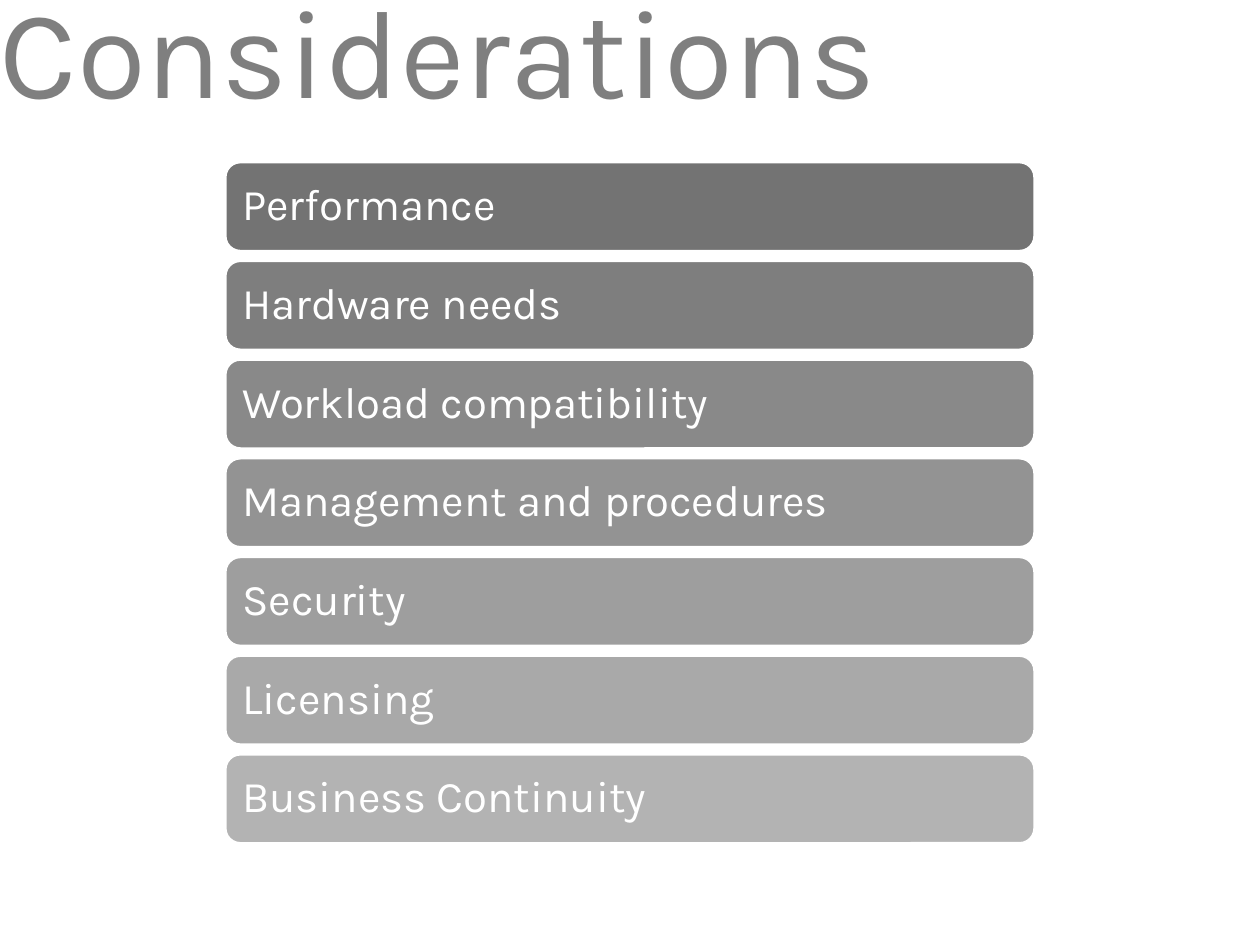
from pptx import Presentation
from pptx.dml.color import RGBColor
from pptx.enum.shapes import MSO_SHAPE as Shape
from pptx.enum.text import MSO_ANCHOR as Anchor, PP_ALIGN as Align
from pptx.util import Pt

FONT = "Karla"
WHITE = RGBColor(0xFF, 0xFF, 0xFF)
TITLE_GRAY = RGBColor(0x7F, 0x7F, 0x7F)
BAR_GRAYS = [RGBColor(level, level, level)
             for level in (0x73, 0x7E, 0x89, 0x93, 0x9E, 0xA9, 0xB3)]
TOPICS = ["Performance", "Hardware needs", "Workload compatibility",
          "Management and procedures", "Security", "Licensing",
          "Business Continuity"]
BAR_LEFT, BAR_TOP, BAR_WIDTH, BAR_HEIGHT = 129, 92.9, 462, 50.4
BAR_PITCH = 56.4


def write_line(frame, wording, size, color):
    """Write one left-aligned, vertically centred line into a text frame."""
    frame.vertical_anchor = Anchor.MIDDLE
    line = frame.paragraphs[0]
    line.alignment = Align.LEFT
    line.line_spacing = 0.9
    run = line.add_run()
    run.text = wording
    run.font.name = FONT
    run.font.size = Pt(size)
    run.font.color.rgb = color


def add_title(slide, wording):
    """Add the heading along the top edge of the slide."""
    frame = slide.shapes.add_textbox(Pt(0), Pt(0), Pt(720), Pt(69)).text_frame
    frame.word_wrap = False
    frame.margin_left = frame.margin_top = frame.margin_right = Pt(0)
    frame.margin_bottom = Pt(3.6)
    write_line(frame, wording, 72, TITLE_GRAY)


def add_bar(slide, top, topic, gray):
    """Add one rounded bar that names a topic."""
    bar = slide.shapes.add_shape(Shape.ROUNDED_RECTANGLE, Pt(BAR_LEFT), Pt(top),
                                 Pt(BAR_WIDTH), Pt(BAR_HEIGHT))
    bar.shadow.inherit = False
    bar.fill.solid()
    bar.fill.fore_color.rgb = gray
    bar.line.color.rgb = WHITE
    bar.line.width = Pt(1)
    bar.text_frame.word_wrap = True
    write_line(bar.text_frame, topic, 25, WHITE)


def main():
    """Build the slide and save it."""
    deck = Presentation()
    deck.slide_width, deck.slide_height = Pt(720), Pt(540)
    slide = deck.slides.add_slide(deck.slide_layouts[6])
    for row, (topic, gray) in enumerate(zip(TOPICS, BAR_GRAYS)):
        add_bar(slide, BAR_TOP + row * BAR_PITCH, topic, gray)
    add_title(slide, "Considerations")
    deck.save("out.pptx")


if __name__ == "__main__":
    main()
